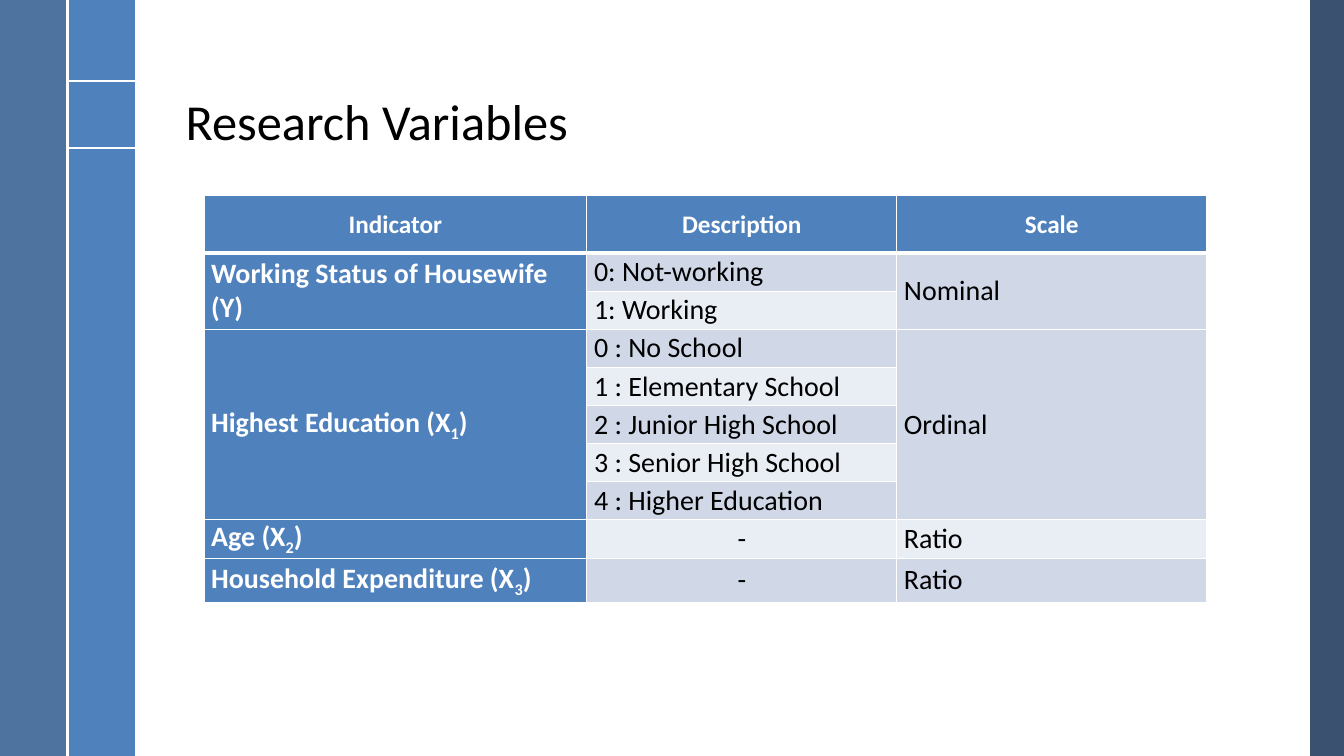
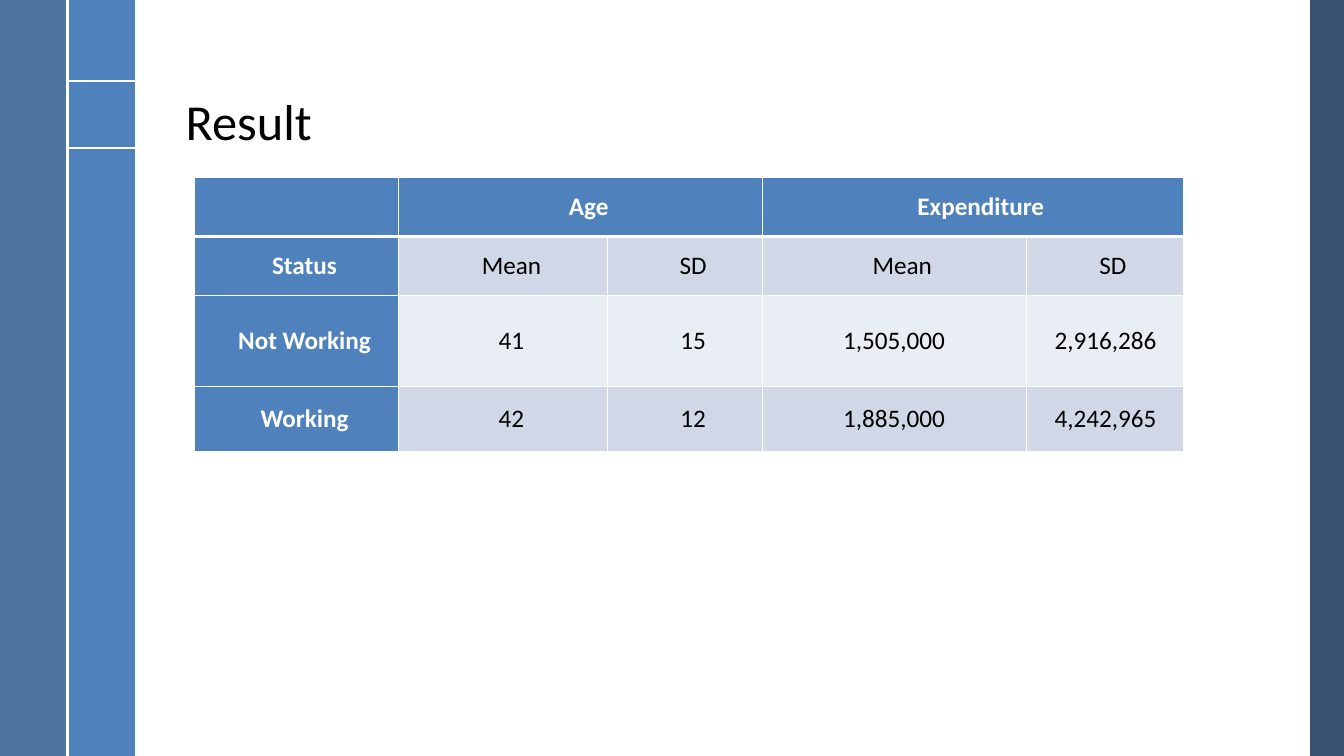
from lxml.etree import SubElement as Sub
from pptx import Presentation
from pptx.dml.color import RGBColor as Rgb
from pptx.enum.shapes import MSO_CONNECTOR as Link, MSO_SHAPE as Kind
from pptx.enum.text import MSO_ANCHOR as Anchor, PP_ALIGN as Align
from pptx.oxml.ns import qn
from pptx.util import Cm, Pt

WHITE = Rgb(0xFF, 0xFF, 0xFF)
BLACK = Rgb(0x00, 0x00, 0x00)
BLUE = Rgb(0x4F, 0x81, 0xBD)
STEEL = Rgb(0x37, 0x60, 0x92)
NAVY = Rgb(0x25, 0x40, 0x61)
PALE = Rgb(0xE9, 0xED, 0xF4)
MIST = Rgb(0xD0, 0xD8, 0xE8)
FONT = "Calibri"
WIDE, HIGH = 33.87, 19.05
BAND = 1.7
MID, LEFT, JUST = Align.CENTER, Align.LEFT, Align.JUSTIFY


def put_run(para, text, size, color, bold=False, base=0):
    run = para.add_run()
    run.text = text
    font = run.font
    font.name, font.size, font.bold = FONT, Pt(size), bold
    font.color.rgb = color
    if base:
        run._r.get_or_add_rPr().set("baseline", str(base * 1000))


def add_band(slide, left, width, color, alpha=100):
    band = slide.shapes.add_shape(Kind.RECTANGLE, Cm(left), Cm(0), Cm(width), Cm(HIGH))
    band.shadow.inherit = False
    band.line.fill.background()
    band.fill.solid()
    band.fill.fore_color.rgb = color
    if alpha < 100:
        tint = band._element.spPr.find(qn("a:solidFill"))[0]
        Sub(tint, qn("a:alpha"), val=str(alpha * 1000))


def add_rule(slide, x1, y1, x2, y2):
    rule = slide.shapes.add_connector(Link.STRAIGHT, Cm(x1), Cm(y1), Cm(x2), Cm(y2))
    rule.line.color.rgb = WHITE
    rule.line.width = Pt(1.5)
    Sub(rule._element.spPr, qn("a:effectLst"))


def add_frame(slide):
    add_band(slide, WIDE - BAND / 2, BAND / 2, NAVY, 90)
    add_band(slide, BAND, BAND, BLUE)
    add_band(slide, 0, BAND, STEEL, 88)
    for top in (2.05, 3.74):
        add_rule(slide, BAND, top, 2 * BAND, top)
    add_rule(slide, BAND, 0, BAND, HIGH)


def add_title(slide, text, left=4.43, top=0.48, width=27.18, height=3.45):
    frame = slide.shapes.add_textbox(Cm(left), Cm(top), Cm(width), Cm(height)).text_frame
    frame.word_wrap = True
    frame.vertical_anchor = Anchor.BOTTOM
    para = frame.paragraphs[0]
    para.line_spacing = 0.9
    put_run(para, text, 36, BLACK)


def add_edges(cell, row):
    props = cell._tc.get_or_add_tcPr()
    sizes = {"L": 1, "R": 1, "T": 3 if row == 1 else 1, "B": 1 if row else 3}
    for spot, (side, size) in enumerate(sizes.items()):
        edge = Sub(props, qn("a:ln" + side), w=str(Pt(size)))
        fill = Sub(edge, qn("a:solidFill"))
        Sub(fill, qn("a:srgbClr"), val=str(WHITE))
        props.insert(spot, edge)


def fill_cell(cell, row, col, text, align, size, indent):
    head = row == 0 or col == 0
    cell.fill.solid()
    cell.fill.fore_color.rgb = BLUE if head else MIST if row % 2 else PALE
    add_edges(cell, row)
    cell.vertical_anchor = Anchor.MIDDLE
    cell.margin_left = cell.margin_right = Cm(0.18)
    cell.margin_top = cell.margin_bottom = 0
    para = cell.text_frame.paragraphs[0]
    para.alignment = align
    if indent:
        para._p.get_or_add_pPr().set("indent", str(Cm(indent)))
    parts = (text,) if isinstance(text, str) else text
    for spot, part in enumerate(parts):
        if part:
            put_run(para, part, size, WHITE if head else BLACK, head, -25 if spot == 1 else 0)


def add_grid(slide, left, top, cols, rows, cells, spans, style):
    shape = slide.shapes.add_table(
        len(rows), len(cols), Cm(left), Cm(top), Cm(sum(cols)), Cm(sum(rows)))
    table = shape.table
    table.first_col = True
    for col, width in enumerate(cols):
        table.columns[col].width = Cm(width)
    for row, height in enumerate(rows):
        table.rows[row].height = Cm(height)
    for row, line in enumerate(cells):
        for col, text in enumerate(line):
            fill_cell(table.cell(row, col), row, col, text, *style(row, col, text))
    for row, col, down, over in spans:
        table.cell(row, col).merge(table.cell(row + down - 1, col + over - 1))


def vars_style(row, col, text):
    if row == 0:
        return MID, 18, 0
    if col == 1:
        return MID if text == "-" else JUST, 20, 0
    return LEFT, 20, 0


def stats_style(row, col, text):
    if row > 1 and col > 2:
        return MID, 18, 0.05 if col == 4 else 0
    return MID, 18, 0.41


def vars_slide(slide):
    add_title(slide, "Research Variables")
    cells = [
        ("Indicator", "Description", "Scale"),
        ("Working Status of Housewife (Y)", "0: Not-working", "Nominal"),
        ("", "1: Working", ""),
        (("Highest Education (X", "1", ")"), "0 : No School", "Ordinal"),
        ("", "1 : Elementary School", ""),
        ("", "2 : Junior High School", ""),
        ("", "3 : Senior High School", ""),
        ("", "4 : Higher Education", ""),
        (("Age (X", "2", ")"), "-", "Ratio"),
        (("Household Expenditure (X", "3", ")"), "-", "Ratio"),
    ]
    spans = [(row, col, down, 1) for row, down in ((1, 2), (3, 5)) for col in (0, 2)]
    add_grid(slide, 5.14, 4.93, [9.65, 7.81, 7.81], [1.45] + [0.96] * 8 + [1.12],
             cells, spans, vars_style)


def stats_slide(slide):
    add_title(slide, "Result")
    cells = [
        ("", "Age", "", "Expenditure", ""),
        ("Status", "Mean", "SD", "Mean", "SD"),
        ("Not Working", "41", "15", "1,505,000", "2,916,286"),
        ("Working", "42", "12", "1,885,000", "4,242,965"),
    ]
    add_grid(slide, 4.89, 4.48, [5.16, 5.27, 3.89, 6.65, 3.96], [1.48, 1.48, 2.29, 1.64],
             cells, [(0, 1, 1, 2), (0, 3, 1, 2)], stats_style)


def main():
    deck = Presentation()
    deck.slide_width, deck.slide_height = Cm(WIDE), Cm(HIGH)
    for build in (vars_slide, stats_slide):
        slide = deck.slides.add_slide(deck.slide_layouts[6])
        add_frame(slide)
        build(slide)
    deck.save("out.pptx")


if __name__ == "__main__":
    main()
